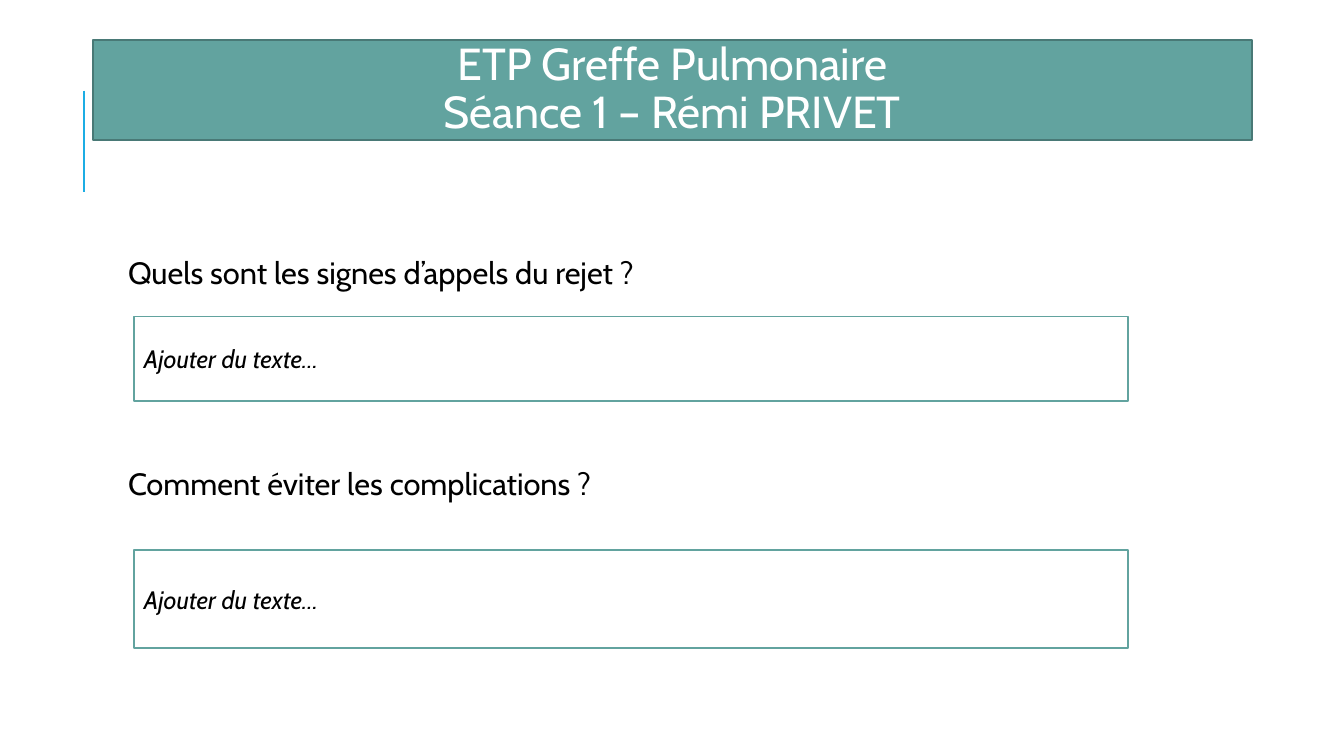
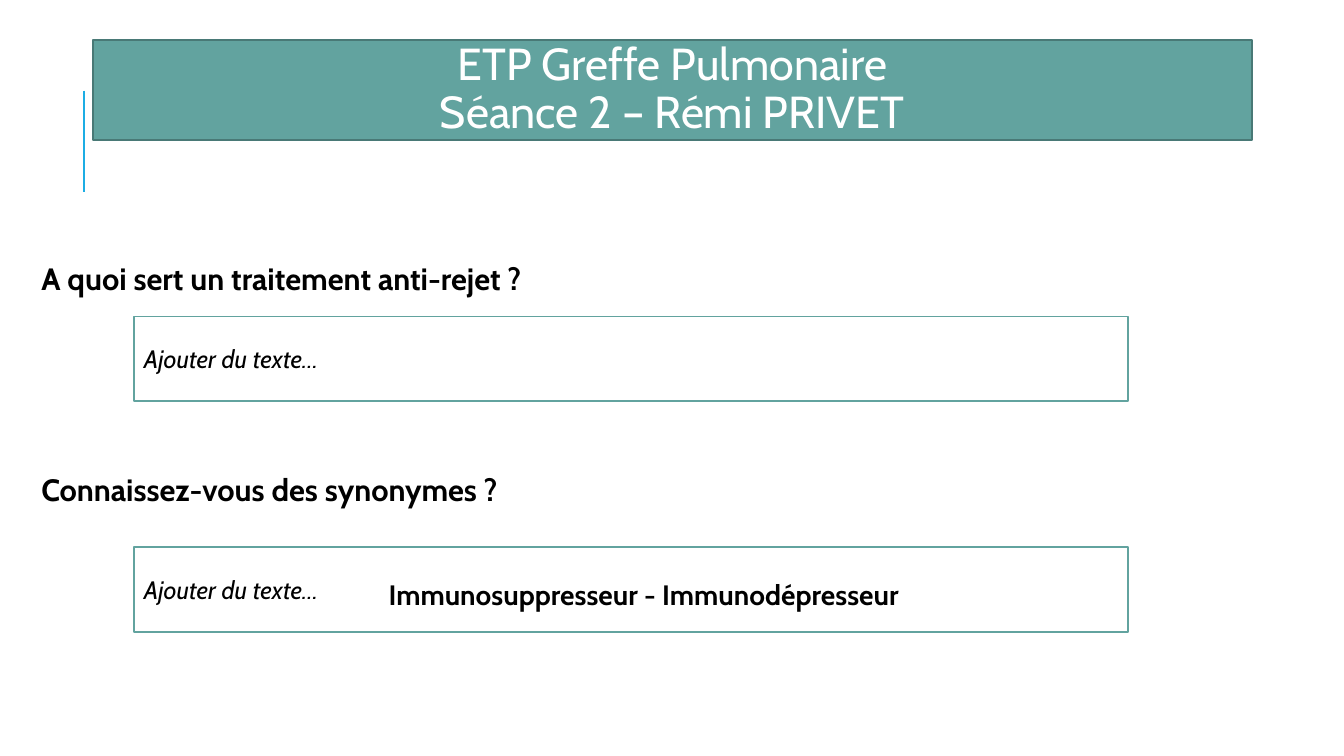
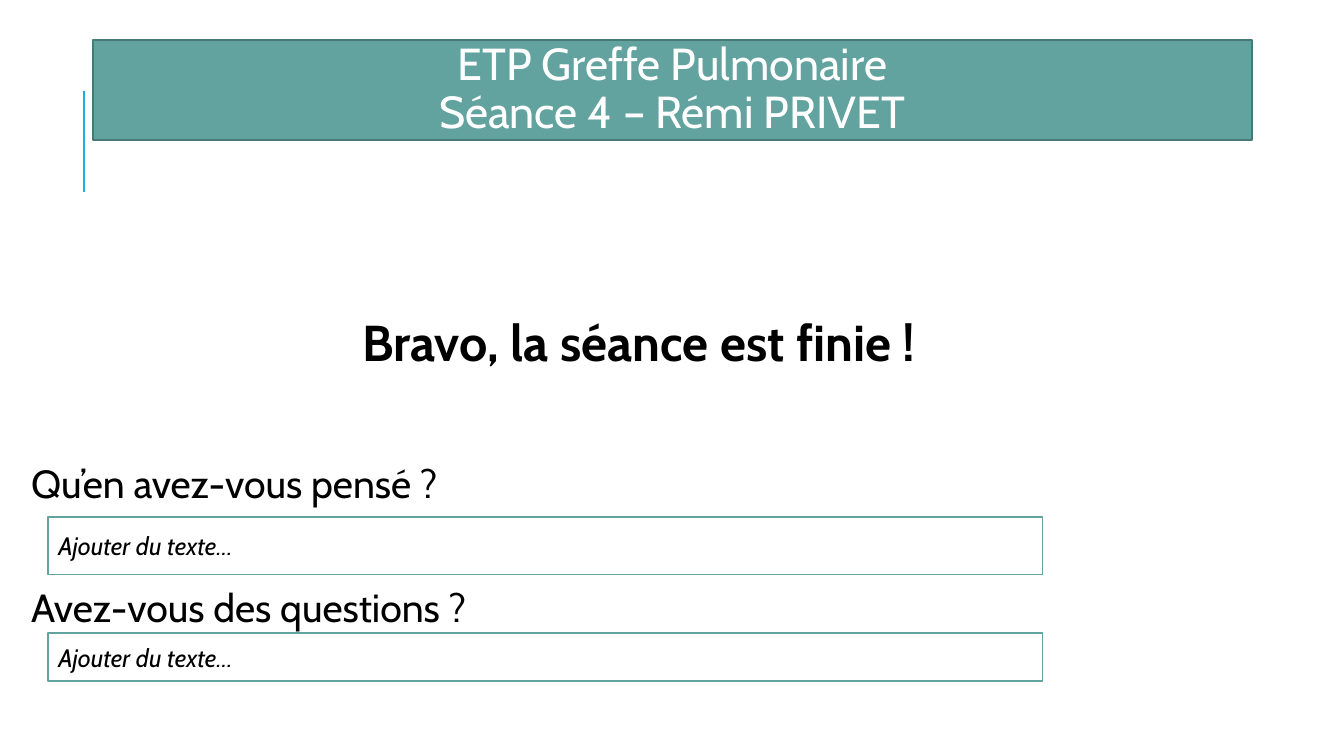
from dataclasses import dataclass

from pptx import Presentation
from pptx.dml.color import RGBColor
from pptx.enum.shapes import MSO_CONNECTOR, MSO_SHAPE
from pptx.enum.text import MSO_ANCHOR, PP_ALIGN
from pptx.oxml.ns import qn
from pptx.util import Inches, Pt
from lxml import etree


@dataclass(frozen=True)
class Theme:
    font: str = "Cabin"
    teal: str = "62A39F"
    teal_dark: str = "497976"
    accent: str = "1CADE4"
    white: str = "FFFFFF"
    black: str = "000000"
    title: int = 32
    praise: int = 36
    closing: int = 28
    question: int = 22
    synonym: int = 20
    answer: int = 18
    outline: float = 1.25
    rule: float = 1.5
    spacing: float = 0.9


T = Theme()
SIZE = (13.33, 7.5)
BAND = (0.92, 0.4, 11.5, 0.99)
RULE_X, RULE_TOP, RULE_BOTTOM = 0.83, 0.9, 1.9
ANSWER_WIDTH = 9.86
LINE_HEIGHT = 0.6
COURSE = "ETP Greffe Pulmonaire"
PATIENT = "Rémi PRIVET"
ANSWER = "Ajouter du texte…"

# texts: wording, middle of the line, size, bold, centred
# answers: top and height of each answer box
SLIDES = [
    dict(session=1, text_span=(1.27, 10.43), answer_left=1.33,
         answers=[(3.14, 0.84), (5.46, 0.97)],
         texts=[("Quels sont les signes d’appels du rejet ?", 2.72, T.question, False, False),
                ("Comment éviter les complications ?", 4.82, T.question, False, False)]),
    dict(session=2, text_span=(0.41, 11.95), answer_left=1.33,
         answers=[(3.14, 0.84), (5.43, 0.84)],
         texts=[("A quoi sert un traitement anti-rejet ?", 2.78, T.question, True, False),
                ("Connaissez-vous des synonymes ?", 4.88, T.question, True, False),
                ("Immunosuppresseur - Immunodépresseur", 5.92, T.synonym, True, True)]),
    dict(session=4, text_span=(0.31, 12.05), answer_left=0.48,
         answers=[(5.13, 0.57), (6.28, 0.48)],
         texts=[("Bravo, la séance est finie !", 3.42, T.praise, True, True),
                ("Qu’en avez-vous pensé ?", 4.82, T.closing, False, False),
                ("Avez-vous des questions ?", 6.05, T.closing, False, False)]),
]


def rgb(color):
    return RGBColor.from_string(color)


def write(sp, text, size, color=T.black, bold=False, italic=False,
          centred=False, spacing=1.0):
    tf = sp.text_frame
    tf.word_wrap = True
    tf.vertical_anchor = MSO_ANCHOR.MIDDLE
    p = tf.paragraphs[0]
    p.text = text
    p.alignment = PP_ALIGN.CENTER if centred else PP_ALIGN.LEFT
    p.line_spacing = spacing
    p.font.name, p.font.size = T.font, Pt(size)
    p.font.bold, p.font.italic = bold, italic
    p.font.color.rgb = rgb(color)


def add_box(s, area, fill, line):
    sp = s.shapes.add_shape(MSO_SHAPE.RECTANGLE, *map(Inches, area))
    sp.shadow.inherit = False
    sp.fill.solid()
    sp.fill.fore_color.rgb = rgb(fill)
    sp.line.color.rgb = rgb(line)
    sp.line.width = Pt(T.outline)
    return sp


def add_header(s, session):
    rule = s.shapes.add_connector(
        MSO_CONNECTOR.STRAIGHT,
        *map(Inches, (RULE_X, RULE_TOP, RULE_X, RULE_BOTTOM)))
    rule.line.color.rgb = rgb(T.accent)
    rule.line.width = Pt(T.rule)
    etree.SubElement(rule._element.spPr, qn("a:effectLst"))
    band = add_box(s, BAND, T.teal, T.teal_dark)
    write(band, f"{COURSE}\vSéance {session} – {PATIENT}", T.title,
          T.white, centred=True, spacing=T.spacing)


def add_text(s, span, text, middle, size, bold, centred):
    left, width = span
    area = (left, middle - LINE_HEIGHT / 2, width, LINE_HEIGHT)
    sp = s.shapes.add_textbox(*map(Inches, area))
    tf = sp.text_frame
    tf.margin_left = tf.margin_right = tf.margin_top = tf.margin_bottom = 0
    write(sp, text, size, bold=bold, centred=centred, spacing=T.spacing)


def main():
    prs = Presentation()
    prs.slide_width, prs.slide_height = map(Inches, SIZE)
    for page in SLIDES:
        s = prs.slides.add_slide(prs.slide_layouts[6])
        add_header(s, page["session"])
        for top, height in page["answers"]:
            box = add_box(s, (page["answer_left"], top, ANSWER_WIDTH, height),
                          T.white, T.teal)
            write(box, ANSWER, T.answer, italic=True)
        for line in page["texts"]:
            add_text(s, page["text_span"], *line)
    prs.save("out.pptx")


if __name__ == "__main__":
    main()
